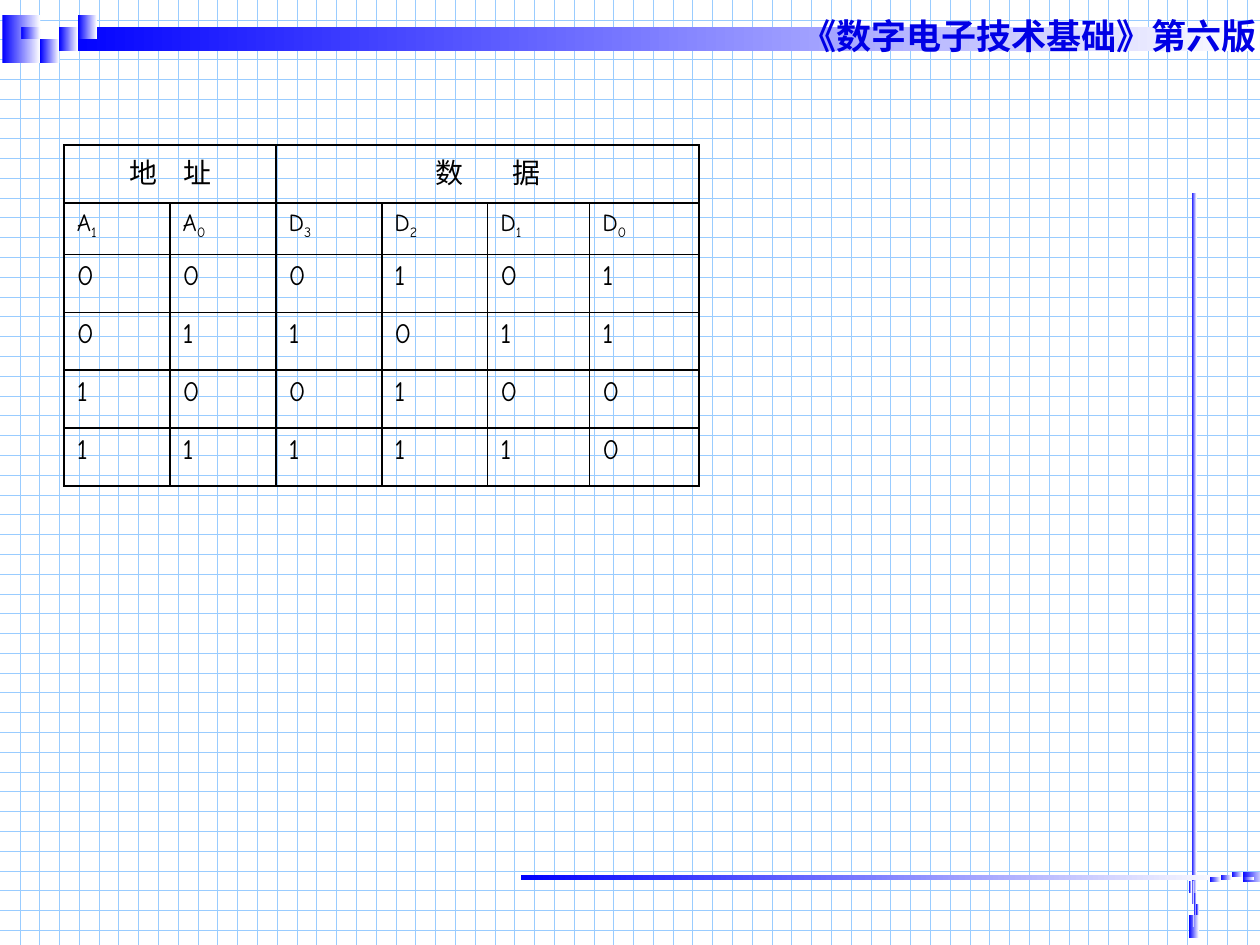
from math import cos, radians, sin

from lxml.etree import SubElement
from pptx import Presentation
from pptx.dml.color import RGBColor
from pptx.enum.dml import MSO_PATTERN
from pptx.enum.shapes import MSO_SHAPE
from pptx.enum.text import MSO_AUTO_SIZE, PP_ALIGN
from pptx.oxml.ns import qn
from pptx.util import Pt

COLORS = {
    "grid": "99CCFF",
    "white": "FFFFFF",
    "blue": "0000FF",
    "title": "0000E5",
    "black": "000000",
}
BRICKS = [(3, 1), (4, 0), (4, 1), (2, 2), (1, 1), (3, 2), (2, 3)]
COLUMN_WIDTHS = [60.5, 60.5, 60.5, 60.5, 58.3, 62.6]
ROW_HEIGHTS = [33.1, 29.5, 33.1, 33.1, 33.1, 33.1]
GROUPS = [("地", "址", 0, 1, 15), ("数", "据", 2, 5, 28)]
SIGNALS = ["A1", "A0", "D3", "D2", "D1", "D0"]
MEMORY_ROWS = ["000101", "011011", "100100", "111110"]


def color(name):
    """Return the named colour."""
    return RGBColor.from_string(COLORS[name])


def paint_background(slide):
    """Cover the slide with a light blue grid."""
    fill = slide.background.fill
    fill.patterned()
    fill.pattern = MSO_PATTERN.DOTTED_GRID
    fill.fore_color.rgb = color("grid")
    fill.back_color.rgb = color("white")


def add_fading_block(slide, center_x, center_y, width, height, rotation):
    """Add a block that fades from blue to white, left to right."""
    shape = slide.shapes.add_shape(
        MSO_SHAPE.RECTANGLE, Pt(center_x - width / 2), Pt(center_y - height / 2),
        Pt(width), Pt(height))
    shape.rotation = rotation
    shape.shadow.inherit = False
    shape.line.fill.background()
    shape.fill.gradient()
    shape.fill.gradient_angle = 0
    for stop, name in zip(shape.fill.gradient_stops, ("blue", "white")):
        stop.color.rgb = color(name)
    shape._element.spPr.find(qn("a:gradFill")).set("rotWithShape", "0")


def add_brick_bar(slide, left, top, unit_width, unit_height, bar_length, rotation=0):
    """Add a bar with its brick cluster, turned about its starting corner."""
    angle = radians(rotation)
    blocks = [(0, 0, 2 * unit_width, 4), (3, 1, bar_length, 2)]
    blocks += [(column, row, unit_width, 1) for column, row in BRICKS]
    for column, row, width, rows in blocks:
        height = rows * unit_height
        along = column * unit_width + width / 2
        across = row * unit_height + height / 2
        add_fading_block(
            slide,
            left + along * cos(angle) - across * sin(angle),
            top + along * sin(angle) + across * cos(angle),
            width, height, rotation)


def add_title(slide, left, top, width, height):
    """Add the book title."""
    box = slide.shapes.add_textbox(Pt(left), Pt(top), Pt(width), Pt(height))
    frame = box.text_frame
    frame.word_wrap = True
    frame.auto_size = MSO_AUTO_SIZE.SHAPE_TO_FIT_TEXT
    paragraph = frame.paragraphs[0]
    paragraph.text = "《数字电子技术基础》第六版"
    paragraph.font.name = "Arial"
    paragraph.font.size = Pt(20)
    paragraph.font.bold = True
    paragraph.font.color.rgb = color("title")


def style_cell(cell):
    """Clear the fill of a cell and draw its four borders."""
    properties = cell._tc.get_or_add_tcPr()
    for side in ("a:lnL", "a:lnR", "a:lnT", "a:lnB"):
        line = SubElement(properties, qn(side), w=str(Pt(1)))
        solid = SubElement(line, qn("a:solidFill"))
        SubElement(solid, qn("a:srgbClr"), val=COLORS["black"])
    cell.fill.background()


def write_cell(cell, parts, size, alignment=PP_ALIGN.LEFT):
    """Write (text, run attributes) parts into a cell."""
    paragraph = cell.text_frame.paragraphs[0]
    paragraph.alignment = alignment
    paragraph.font.name = "Comic Neue"
    paragraph.font.size = Pt(size)
    paragraph.font.color.rgb = color("black")
    for text, attributes in parts:
        run = paragraph.add_run()
        run.text = text
        for name, value in attributes.items():
            run._r.get_or_add_rPr().set(name, str(value))


def add_memory_table(slide, left, top):
    """Add the table of addresses and stored data."""
    table = slide.shapes.add_table(
        len(ROW_HEIGHTS), len(COLUMN_WIDTHS), Pt(left), Pt(top),
        Pt(sum(COLUMN_WIDTHS)), Pt(sum(ROW_HEIGHTS))).table
    table.first_row = False
    table.horz_banding = False
    for column, width in zip(table.columns, COLUMN_WIDTHS):
        column.width = Pt(width)
    for row, height in zip(table.rows, ROW_HEIGHTS):
        row.height = Pt(height)
    for cell in table.iter_cells():
        style_cell(cell)
    for first, second, start, end, gap in GROUPS:
        table.cell(0, start).merge(table.cell(0, end))
        parts = [(first, {"spc": gap * 100}), (second, {})]
        write_cell(table.cell(0, start), parts, 16, PP_ALIGN.CENTER)
    for column, (letter, index) in enumerate(SIGNALS):
        parts = [(letter, {}), (index, {"baseline": -25000})]
        write_cell(table.cell(1, column), parts, 14)
    for row, bits in enumerate(MEMORY_ROWS, start=2):
        for column, bit in enumerate(bits):
            write_cell(table.cell(row, column), [(bit, {})], 16)


def main():
    """Build and save the slide."""
    presentation = Presentation()
    presentation.slide_width = Pt(720)
    presentation.slide_height = Pt(540)
    slide = presentation.slides.add_slide(presentation.slide_layouts[6])
    paint_background(slide)
    add_brick_bar(slide, 1.4, 8.6, 10.8, 6.8, 686)
    add_brick_bar(slide, 679.5, 536, 6.5, 1.4, 406, rotation=270)
    add_brick_bar(slide, 722.6, 504, 6.3, 1.4, 406, rotation=180)
    add_title(slide, 450.7, 5, 292.3, 31)
    add_memory_table(slide, 36.7, 82.8)
    presentation.save("out.pptx")


if __name__ == "__main__":
    main()
